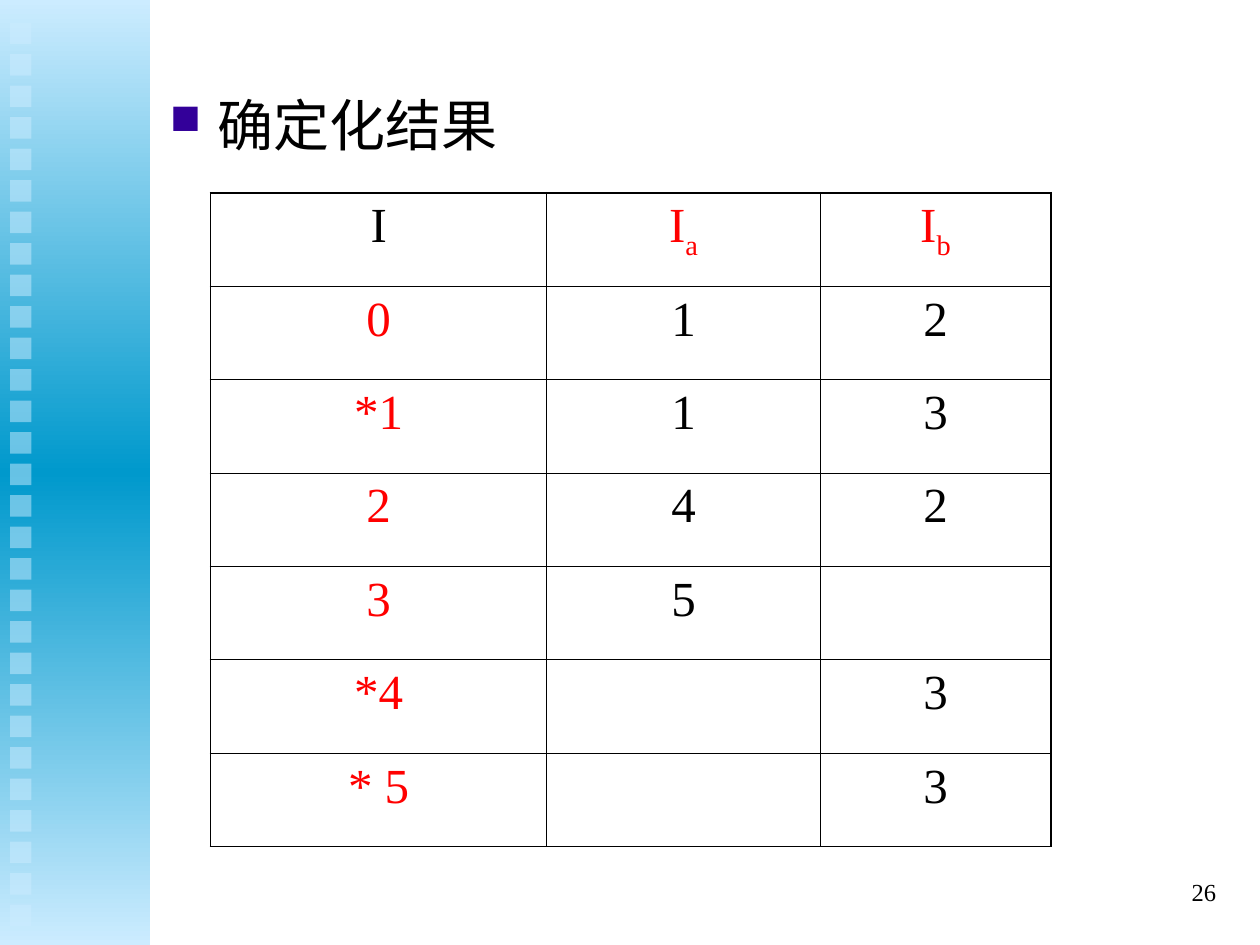
import copy

from lxml import etree
from pptx import Presentation
from pptx.dml.color import RGBColor
from pptx.enum.shapes import MSO_SHAPE
from pptx.enum.text import MSO_ANCHOR, PP_ALIGN
from pptx.oxml.ns import qn
from pptx.util import Inches, Pt

RECTANGLE = MSO_SHAPE.RECTANGLE
LEFT, CENTER, RIGHT = PP_ALIGN.LEFT, PP_ALIGN.CENTER, PP_ALIGN.RIGHT
TOP, MIDDLE = MSO_ANCHOR.TOP, MSO_ANCHOR.MIDDLE

COLORS = {
    "text": "000000",
    "state": "FF0000",
    "bullet": "330099",
    "pale": "CCECFF",
    "deep": "0099CC",
}
FONT = "Times New Roman"


def write_text(frame, text, size, color="text", align=LEFT, anchor=TOP, before=0):
    """Write one paragraph; anything after an underscore becomes a subscript."""
    frame.word_wrap = True
    frame.vertical_anchor = anchor
    paragraph = frame.paragraphs[0]
    paragraph.alignment = align
    paragraph.space_before = Pt(before)
    base, _, subscript = text.partition("_")
    for part, baseline in ((base, 0), (subscript, -25000)):
        if part:
            run = paragraph.add_run()
            run.text = part
            run.font.name = FONT
            run.font.size = Pt(size)
            run.font.color.rgb = RGBColor.from_string(COLORS[color])
            if baseline:
                run.font._element.set("baseline", str(baseline))
    return paragraph


def set_border(cell, side, width):
    line = etree.SubElement(cell._tc.get_or_add_tcPr(), qn(f"a:ln{side}"), w=str(Pt(width)))
    fill = etree.SubElement(line, qn("a:solidFill"))
    etree.SubElement(fill, qn("a:srgbClr"), val=COLORS["text"])


presentation = Presentation()
presentation.slide_width = Inches(10)
presentation.slide_height = Inches(7.5)
slide = presentation.slides.add_slide(presentation.slide_layouts[6])

# Gradient side band
band = slide.shapes.add_shape(RECTANGLE, 0, 0, Inches(1.19), Inches(7.5))
band.shadow.inherit = False
band.line.fill.background()
band.fill.gradient()
band.fill.gradient_angle = 90
stop_list = band.element.xpath(".//a:gsLst")[0]
stop_list.append(copy.deepcopy(stop_list[-1]))
for stop, position, color in zip(band.fill.gradient_stops, (0, 0.5, 1), ("pale", "deep", "pale")):
    stop.position = position
    stop.color.rgb = RGBColor.from_string(COLORS[color])

# Column of half-transparent squares
for index in range(29):
    square = slide.shapes.add_shape(
        RECTANGLE, Inches(0.08), Inches(0.18 + 0.25 * index), Inches(0.17), Inches(0.17))
    square.shadow.inherit = False
    square.line.fill.background()
    square.fill.solid()
    square.fill.fore_color.rgb = RGBColor.from_string(COLORS["pale"])
    square_color = square.element.xpath("./p:spPr/a:solidFill/a:srgbClr")[0]
    etree.SubElement(square_color, qn("a:alpha"), val="50000")

# Bulleted heading
heading = slide.shapes.add_textbox(Inches(1.25), Inches(0.67), Inches(8.5), Inches(6))
paragraph = write_text(heading.text_frame, "确定化结果", 32, before=8)
properties = paragraph._p.get_or_add_pPr()
properties.set("marL", str(Inches(0.38)))
properties.set("indent", str(Inches(-0.38)))
bullet_color = etree.SubElement(properties, qn("a:buClr"))
etree.SubElement(bullet_color, qn("a:srgbClr"), val=COLORS["bullet"])
etree.SubElement(properties, qn("a:buSzPct"), val="75000")
etree.SubElement(properties, qn("a:buChar"), char="■")

# Transition table: header row and state column are red, except the corner
rows = [
    ("I", "I_a", "I_b"),
    ("0", "1", "2"),
    ("*1", "1", "3"),
    ("2", "4", "2"),
    ("3", "5", ""),
    ("*4", "", "3"),
    ("* 5", "", "3"),
]
column_widths = (2.67, 2.17, 1.83)
last_row, last_column = len(rows) - 1, len(column_widths) - 1
THICK, THIN = 1.08, 0.45

table = slide.shapes.add_table(
    len(rows), len(column_widths), Inches(1.67), Inches(1.53), Inches(6.67), Inches(5.19)).table
table.first_row = False
table.horz_banding = False
for column, width in zip(table.columns, column_widths):
    column.width = Inches(width)
for row_index, values in enumerate(rows):
    table.rows[row_index].height = Inches(5.19 / len(rows))
    for column_index, value in enumerate(values):
        cell = table.cell(row_index, column_index)
        outer_sides = {
            "L": column_index == 0,
            "R": column_index == last_column,
            "T": row_index == 0,
            "B": row_index == last_row,
        }
        for side, is_outer in outer_sides.items():
            set_border(cell, side, THICK if is_outer else THIN)
        cell.fill.background()
        is_label = (row_index == 0) != (column_index == 0)
        write_text(cell.text_frame, value, 28, color="state" if is_label else "text",
                   align=CENTER, before=7)

# Slide number
number = slide.shapes.add_textbox(Inches(7.67), Inches(6.83), Inches(2.08), Inches(0.5))
write_text(number.text_frame, "26", 14, align=RIGHT, anchor=MIDDLE)

presentation.save("out.pptx")
